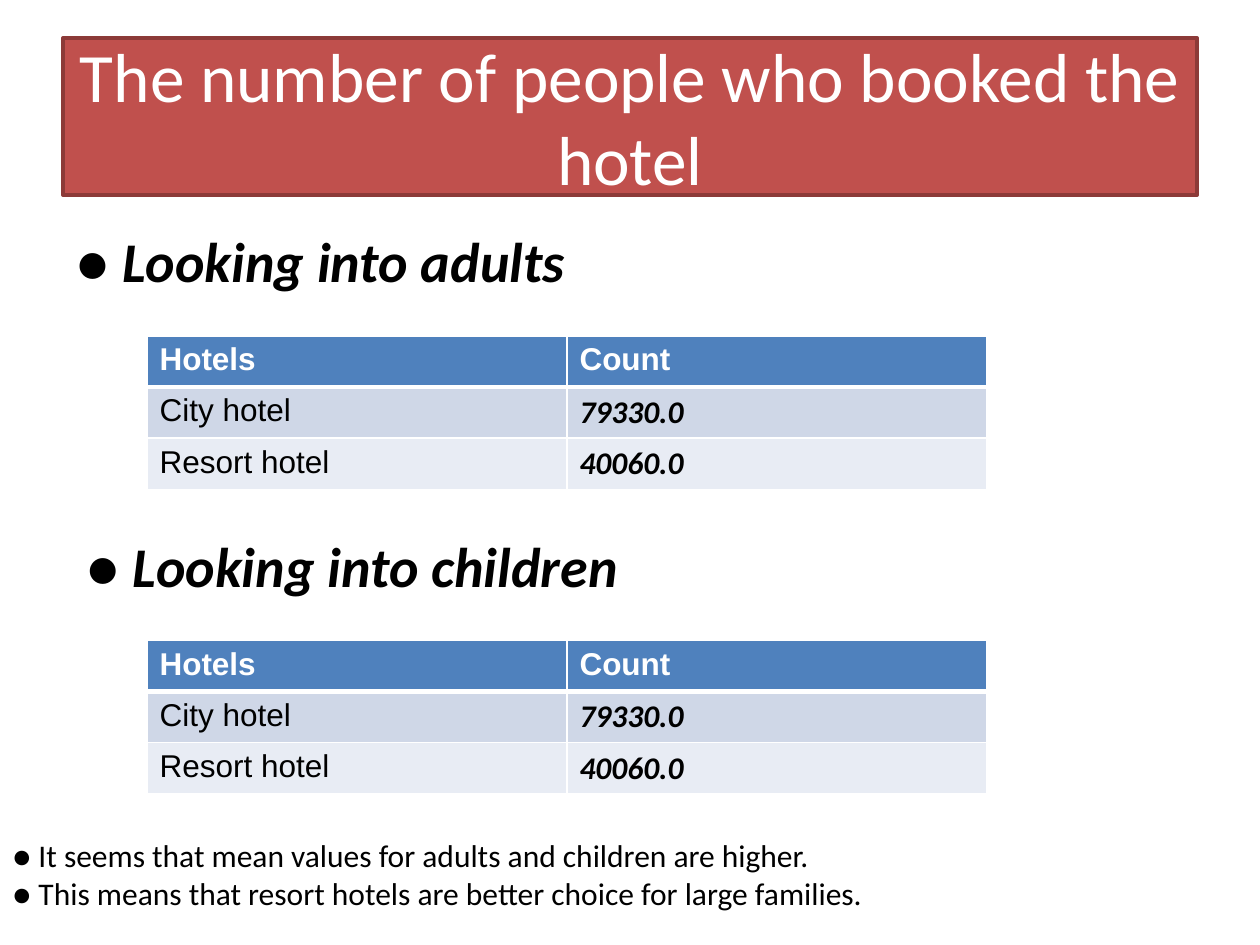
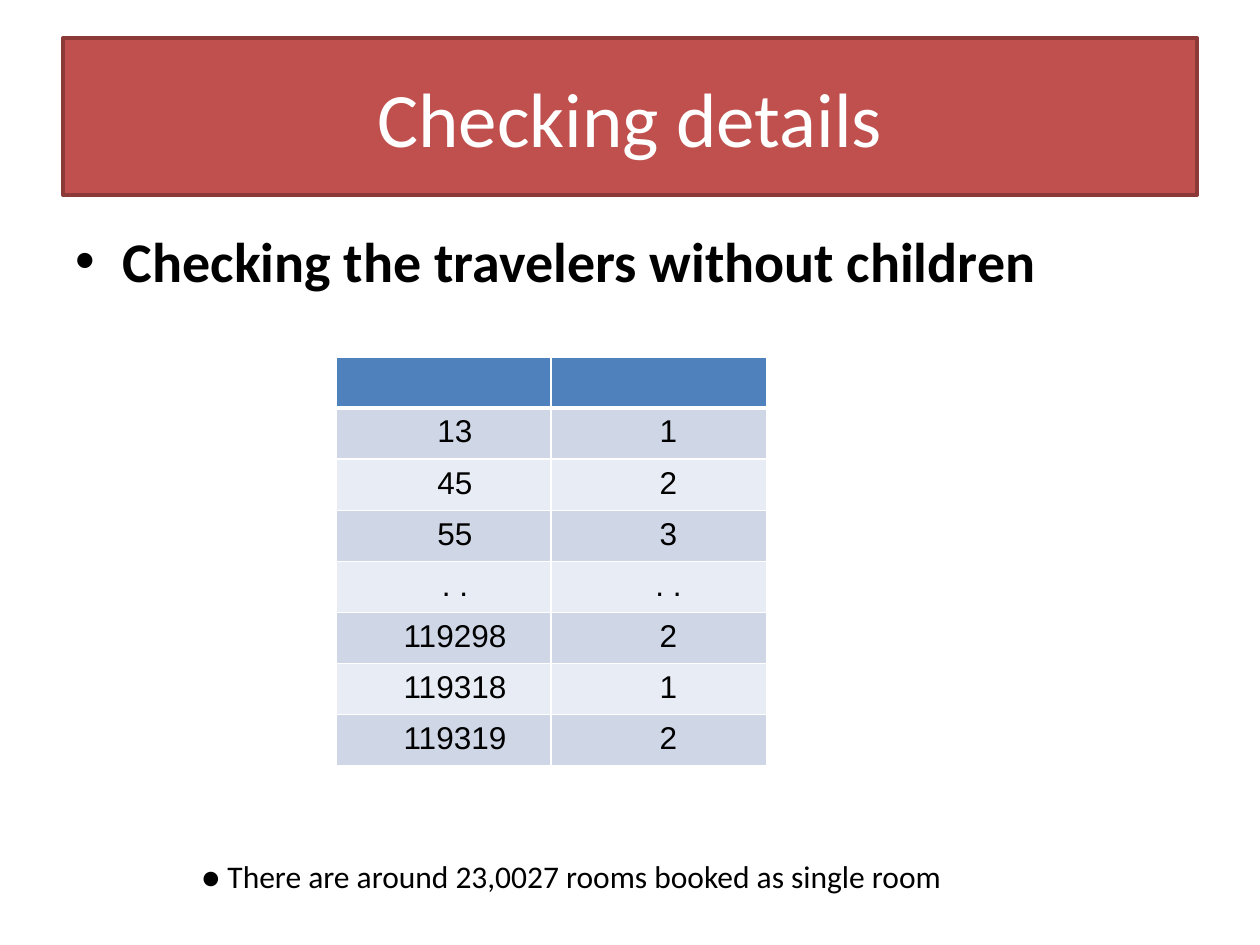
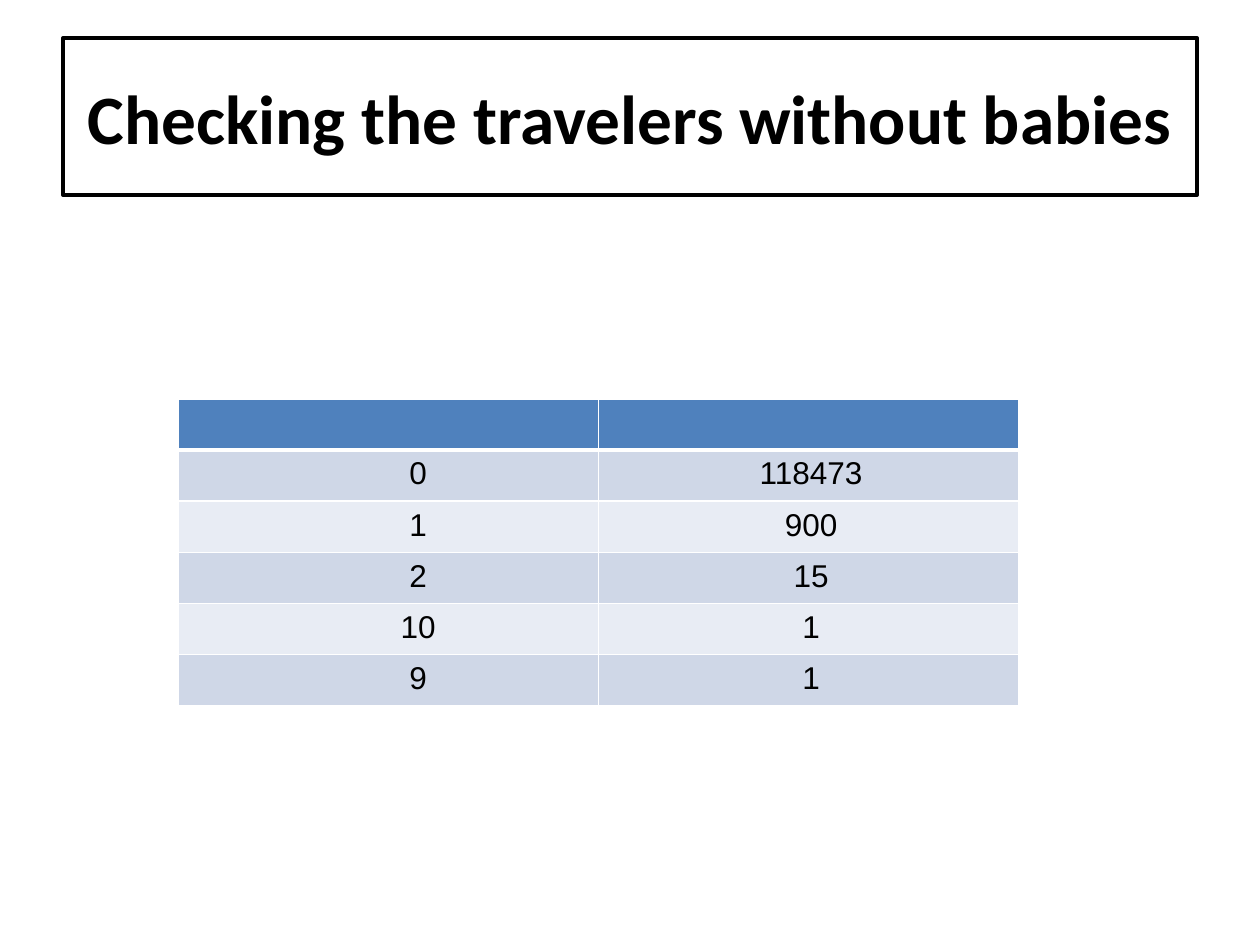
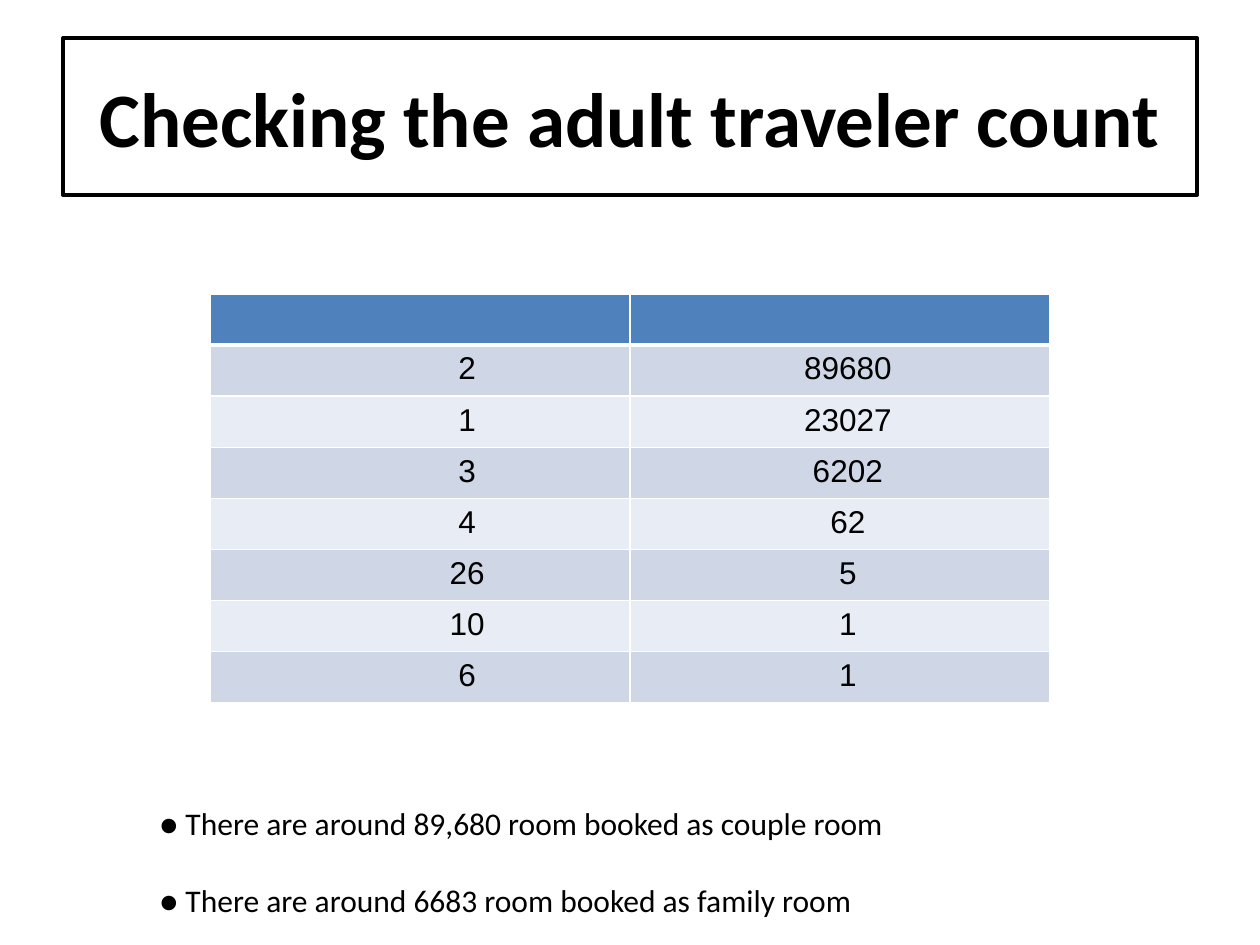
from lxml.etree import SubElement
from pptx import Presentation
from pptx.dml.color import RGBColor
from pptx.enum.text import MSO_ANCHOR, MSO_AUTO_SIZE, PP_ALIGN
from pptx.oxml.ns import qn
from pptx.util import Pt

BLACK, WHITE = "000000", "FFFFFF"
RED, DARK_RED = "C0504D", "8C3A38"
BLUE, BANDS = "4F81BD", ("CFD7E7", "E8ECF4")
ROW_HEIGHT = 29.2
INSET = 7.2


def rgb(color):
    return RGBColor.from_string(color)


class Deck:
    """Hold the shared style and the slide being built."""

    def __init__(self):
        self.prs = Presentation()
        self.prs.slide_width, self.prs.slide_height = Pt(720), Pt(540)
        self.s = None

    def style(self, font, size, color=BLACK, bold=False, italic=False, name="Calibri"):
        font.name, font.size = name, Pt(size)
        font.bold, font.italic = bold, italic
        font.color.rgb = rgb(color)

    def place(self, sp, left, top, width, height):
        sp.left, sp.top, sp.width, sp.height = Pt(left), Pt(top), Pt(width), Pt(height)

    def slide(self, title, size=44, filled=False, body=False):
        self.s = self.prs.slides.add_slide(self.prs.slide_layouts[1 if body else 5])
        sp = self.s.shapes.title
        self.place(sp, 36, 21.6, 648, 90)
        sp.fill.solid()
        sp.fill.fore_color.rgb = rgb(RED if filled else WHITE)
        sp.line.color.rgb = rgb(DARK_RED if filled else BLACK)
        sp.line.width = Pt(2)
        tf = sp.text_frame
        tf.text = title
        tf.auto_size = MSO_AUTO_SIZE.NONE
        tf.vertical_anchor = MSO_ANCHOR.MIDDLE
        p = tf.paragraphs[0]
        p.alignment = PP_ALIGN.CENTER
        self.style(p.font, size, WHITE if filled else BLACK, bold=not filled)

    def body(self):
        sp = self.s.placeholders[1]
        self.place(sp, 36, 126, 648, 356.4)
        sp.text_frame.auto_size = MSO_AUTO_SIZE.NONE
        return sp.text_frame.paragraphs[0]

    def bullet(self, text):
        p = self.body()
        p.text = text
        self.style(p.font, 32, bold=True)

    def marked_heading(self, p, text):
        for part, strong in (("● ", False), (text, True)):
            r = p.add_run()
            r.text = part
            self.style(r.font, 32, bold=strong, italic=strong)

    def body_heading(self, text):
        p = self.body()
        SubElement(p._p.get_or_add_pPr(), qn("a:buNone"))
        self.marked_heading(p, text)

    def text_box(self, left, top, width, height):
        tf = self.s.shapes.add_textbox(Pt(left), Pt(top), Pt(width), Pt(height)).text_frame
        tf.word_wrap = True
        return tf

    def box_heading(self, text, left, top, width, height):
        self.marked_heading(self.text_box(left, top, width, height).paragraphs[0], text)

    def notes(self, lines, left, top, width, height, gap=0):
        tf = self.text_box(left, top, width, height)
        tf.text = "\n".join(lines)
        for i, p in enumerate(tf.paragraphs):
            self.style(p.font, 18)
            p.space_before = Pt(gap if i else 0)

    def borders(self, cell, bottom):
        tc_pr = cell._tc.get_or_add_tcPr()
        for side, width in (("L", 1), ("R", 1), ("T", 1), ("B", bottom)):
            ln = SubElement(tc_pr, qn(f"a:ln{side}"), w=str(Pt(width)))
            SubElement(SubElement(ln, qn("a:solidFill")), qn("a:srgbClr"), val=WHITE)

    def table(self, rows, left, top, col_width=240, shifts=None, header=("", ""), strong=False):
        rows = [header, *rows]
        table = self.s.shapes.add_table(
            len(rows), 2, Pt(left), Pt(top), Pt(2 * col_width), Pt(ROW_HEIGHT * len(rows))).table
        for row in table.rows:
            row.height = Pt(ROW_HEIGHT)
        for i, values in enumerate(rows):
            for j, value in enumerate(values):
                cell = table.cell(i, j)
                self.borders(cell, 1 if i else 3)
                cell.fill.solid()
                cell.fill.fore_color.rgb = rgb(BANDS[(i - 1) % 2] if i else BLUE)
                cell.text = value
                p = cell.text_frame.paragraphs[0]
                accent = bool(strong and i and j)
                self.style(p.font, 18, BLACK if i else WHITE, bold=accent or not i,
                           italic=accent, name="Calibri" if accent else "Arial")
                if shifts:
                    p.alignment = PP_ALIGN.CENTER
                    cell.margin_left = Pt(INSET + shifts[j])


def main():
    deck = Deck()

    deck.slide("The number of people who booked the hotel", 39.6, filled=True, body=True)
    deck.body_heading("Looking into adults")
    deck.box_heading("Looking into children", 42, 300, 360, 46)
    hotels = [("City hotel", "79330.0"), ("Resort hotel", "40060.0")]
    for top in (192, 366):
        deck.table(hotels, 84, top, header=("Hotels", "Count"), strong=True)
    deck.notes(["● It seems that mean values for adults and children are higher.",
                "● This means that resort hotels are better choice for large families."],
               0, 474, 720, 51)

    deck.slide("Checking details", filled=True, body=True)
    deck.bullet("Checking the travelers without children")
    deck.table([("13", "1"), ("45", "2"), ("55", "3"), (". .", ". ."),
                ("119298", "2"), ("119318", "1"), ("119319", "2")],
               192, 204, col_width=123, shifts=(13, 11))
    deck.notes(["● There are around 23,0027 rooms booked as single room"], 108, 486, 443, 29)

    deck.slide("Checking the travelers without babies", 39.6)
    deck.table([("0", "118473"), ("1", "900"), ("2", "15"), ("10", "1"), ("9", "1")],
               102, 228, shifts=(34, 3))

    deck.slide("Checking the adult traveler count")
    deck.table([("2", "89680"), ("1", "23027"), ("3", "6202"), ("4", "62"),
                ("26", "5"), ("10", "1"), ("6", "1")],
               120, 168, shifts=(54, 9))
    deck.notes(["● There are around 89,680 room booked as couple room",
                "● There are around 6683 room booked as family room"],
               84, 456, 433, 73, gap=22)

    deck.prs.save("out.pptx")


if __name__ == "__main__":
    main()
